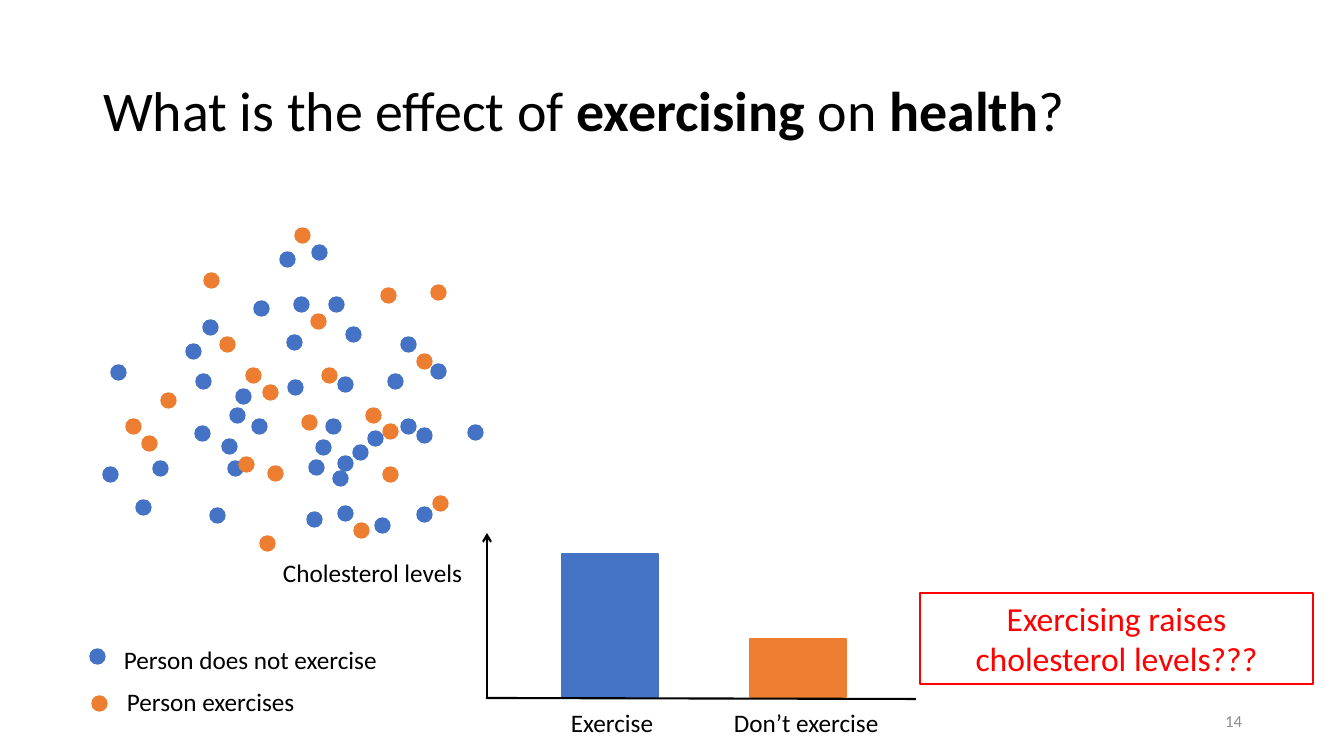
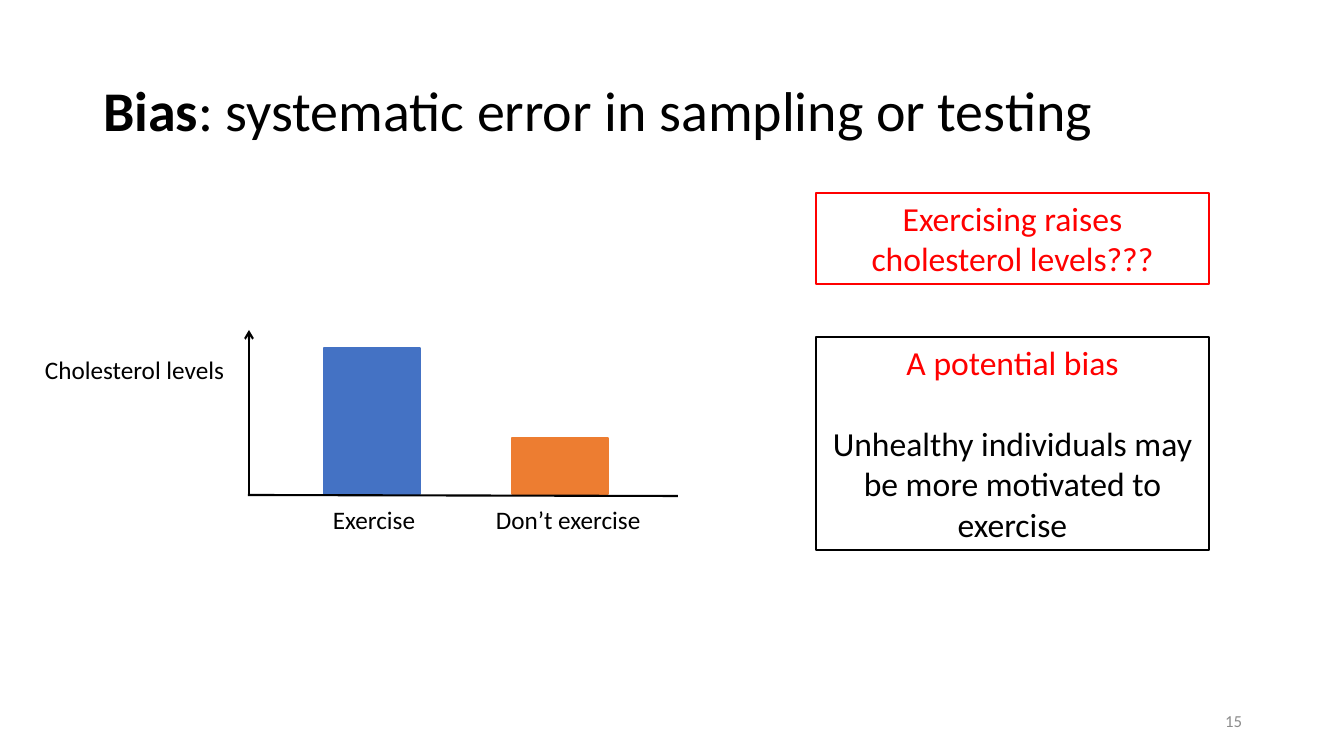
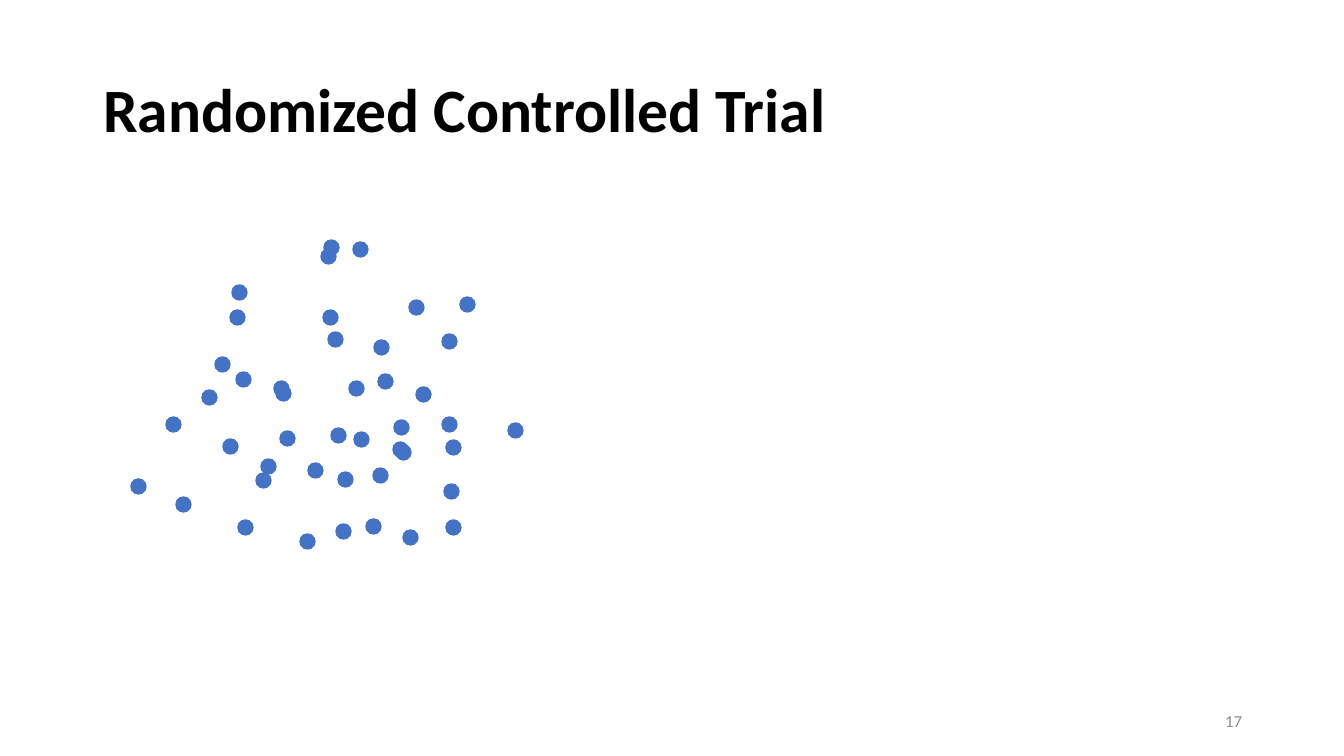
from pptx import Presentation
from pptx.dml.color import RGBColor
from pptx.enum.shapes import MSO_CONNECTOR, MSO_SHAPE
from pptx.enum.text import MSO_ANCHOR, PP_ALIGN
from pptx.oxml.ns import qn
from pptx.util import Pt
from lxml import etree

LINE = MSO_CONNECTOR.STRAIGHT
OVAL, RECT = MSO_SHAPE.OVAL, MSO_SHAPE.RECTANGLE
MID, TOP = MSO_ANCHOR.MIDDLE, MSO_ANCHOR.TOP
LEFT, MIDST, RIGHT = PP_ALIGN.LEFT, PP_ALIGN.CENTER, PP_ALIGN.RIGHT
FONT = "Calibri"
HUES = {"black": "000000", "blue": "4472C4", "orange": "ED7D31",
        "red": "FF0000", "gray": "8C8C8C"}
SCALE = 914400 / 100.8
DOT = 15
CLOUD = (100, 220)
CLAIM = [("Exercising raises cholesterol levels???", "red")]

IDLE = [
    (11, 145), (86, 124), (95, 206), (152, 199), (128, 241), (136, 169),
    (3, 247), (53, 241), (36, 280), (238, 236), (188, 160), (110, 288),
    (103, 100), (238, 157), (154, 81), (180, 32), (187, 115), (246, 107),
    (229, 77), (253, 225), (96, 154), (130, 188), (331, 144), (212, 25),
    (288, 154), (233, 251), (207, 292), (216, 220), (317, 287), (268, 211),
    (317, 208), (275, 298), (301, 199), (226, 199), (209, 240), (368, 205),
    (122, 219), (238, 286), (301, 117), (194, 77),
]
ACTIVE = [
    (61, 173), (160, 316), (120, 117), (168, 246), (104, 53), (222, 148),
    (146, 148), (281, 68), (202, 195), (195, 8), (331, 65), (333, 276),
    (283, 247), (266, 188), (26, 199), (163, 165), (139, 237), (283, 204),
    (254, 303), (317, 134), (42, 216), (211, 94),
]
TRIAL = [
    (102, 170), (176, 166), (200, 314), (161, 239), (76, 277), (344, 264),
    (278, 154), (208, 243), (221, 29), (228, 112), (293, 222), (136, 152),
    (130, 90), (253, 22), (273, 248), (342, 197), (408, 203), (342, 114),
    (66, 197), (115, 137), (123, 219), (180, 211), (156, 253), (31, 259),
    (138, 300), (132, 65), (274, 120), (249, 161), (174, 161), (309, 80),
    (231, 208), (224, 20), (360, 77), (316, 167), (236, 304), (346, 300),
    (296, 225), (346, 220), (303, 310), (254, 212), (238, 252), (294, 200),
    (266, 299), (223, 90),
]


def px(*vals):
    return [round(v * SCALE) for v in vals]


def hue(name):
    return RGBColor.from_string(HUES[name])


def style(para, size, color, align=LEFT):
    para.alignment = align
    para.font.name = FONT
    para.font.size = Pt(size)
    para.font.color.rgb = hue(color)


def block(slide, kind, box, color):
    shape = slide.shapes.add_shape(kind, *px(*box))
    shape.shadow.inherit = False
    shape.fill.solid()
    shape.fill.fore_color.rgb = hue(color)
    shape.line.color.rgb = hue(color)
    shape.line.width = Pt(1)


def label(slide, box, text, size=18, color="black", align=LEFT, anchor=TOP):
    frame = slide.shapes.add_textbox(*px(*box)).text_frame
    frame.word_wrap = True
    frame.vertical_anchor = anchor
    frame.text = text
    style(frame.paragraphs[0], size, color, align)


def axis(slide, start, end, arrow=False):
    line = slide.shapes.add_connector(LINE, *px(*start, *end))
    line.line.color.rgb = hue("black")
    line.line.width = Pt(1.5)
    if arrow:
        etree.SubElement(line.line._get_or_add_ln(), qn("a:tailEnd"), type="arrow")
    etree.SubElement(line._element.spPr, qn("a:effectLst"))


def page(deck, number, title, size=40):
    slide = deck.slides.add_slide(deck.slide_layouts[5])
    para = slide.shapes.title.text_frame.paragraphs[0]
    style(para, size, "black")
    para.line_spacing = 0.9
    for text, bold in title:
        run = para.add_run()
        run.text = text
        run.font.bold = bold
    label(slide, (950, 701, 302, 40), str(number), 12, "gray", RIGHT, MID)
    return slide


def cloud(slide, left, top, spots, color):
    for x, y in spots:
        block(slide, OVAL, (left + x, top + y, DOT, DOT), color)


def legend(slide, left, top):
    block(slide, OVAL, (left, top + 10, DOT, DOT), "blue")
    label(slide, (left + 24, top, 393, 40), "Person does not exercise")
    block(slide, OVAL, (left + 2, top + 57, DOT, DOT), "orange")
    label(slide, (left + 27, top + 42, 213, 40), "Person exercises")


def bars(slide, left, base, highs):
    for x, high, color in zip((75, 263), highs, ("blue", "orange")):
        block(slide, RECT, (left + x, base - 2 - high, 96, high), color)
    axis(slide, (left - 1, base - 1), (left + 429, base))
    axis(slide, (left, base), (left, base - 166), True)
    label(slide, (left + 74, base + 3, 160, 40), "Exercise")
    label(slide, (left + 237, base + 3, 180, 40), "Don’t exercise")
    label(slide, (left - 214, base - 147, 213, 40), "Cholesterol levels")


def note(slide, box, lines, edge):
    shape = slide.shapes.add_shape(RECT, *px(*box))
    shape.shadow.inherit = False
    shape.fill.background()
    shape.line.color.rgb = hue(edge)
    shape.line.width = Pt(1.5)
    frame = shape.text_frame
    frame.word_wrap = True
    frame.vertical_anchor = TOP
    frame.text = "\n".join(text for text, color in lines)
    for para, (text, color) in zip(frame.paragraphs, lines):
        style(para, 24, color, MIDST)
    for para in frame.paragraphs[1:]:
        para.space_before = Pt(29)


def effect(deck):
    slide = page(deck, 14, [("What is the effect of ", False), ("exercising", True),
                            (" on ", False), ("health", True), ("?", False)])
    bars(slide, 487, 699, (143, 58))
    cloud(slide, *CLOUD, IDLE, "blue")
    cloud(slide, *CLOUD, ACTIVE, "orange")
    legend(slide, 90, 639)
    note(slide, (920, 593, 393, 91), CLAIM, "red")


def bias(deck):
    slide = page(deck, 15, [("Bias", True),
                            (": systematic error in sampling or testing", False)])
    bars(slide, 249, 496, (146, 56))
    note(slide, (816, 193, 393, 91), CLAIM, "red")
    note(slide, (816, 337, 393, 213), [
        ("A potential bias", "red"),
        ("Unhealthy individuals may be more motivated to exercise", "black"),
    ], "black")


def trial(deck):
    slide = page(deck, 17, [("Randomized Controlled Trial", True)], 44)
    cloud(slide, *CLOUD, TRIAL, "blue")


deck = Presentation()
deck.slide_width, deck.slide_height = px(1344, 756)
head = deck.slide_layouts[5].placeholders[0]
head.left, head.top, head.width, head.height = px(93, 40, 1159, 146)
head.text_frame.vertical_anchor = MID
for build in (effect, bias, trial):
    build(deck)
deck.save("out.pptx")
